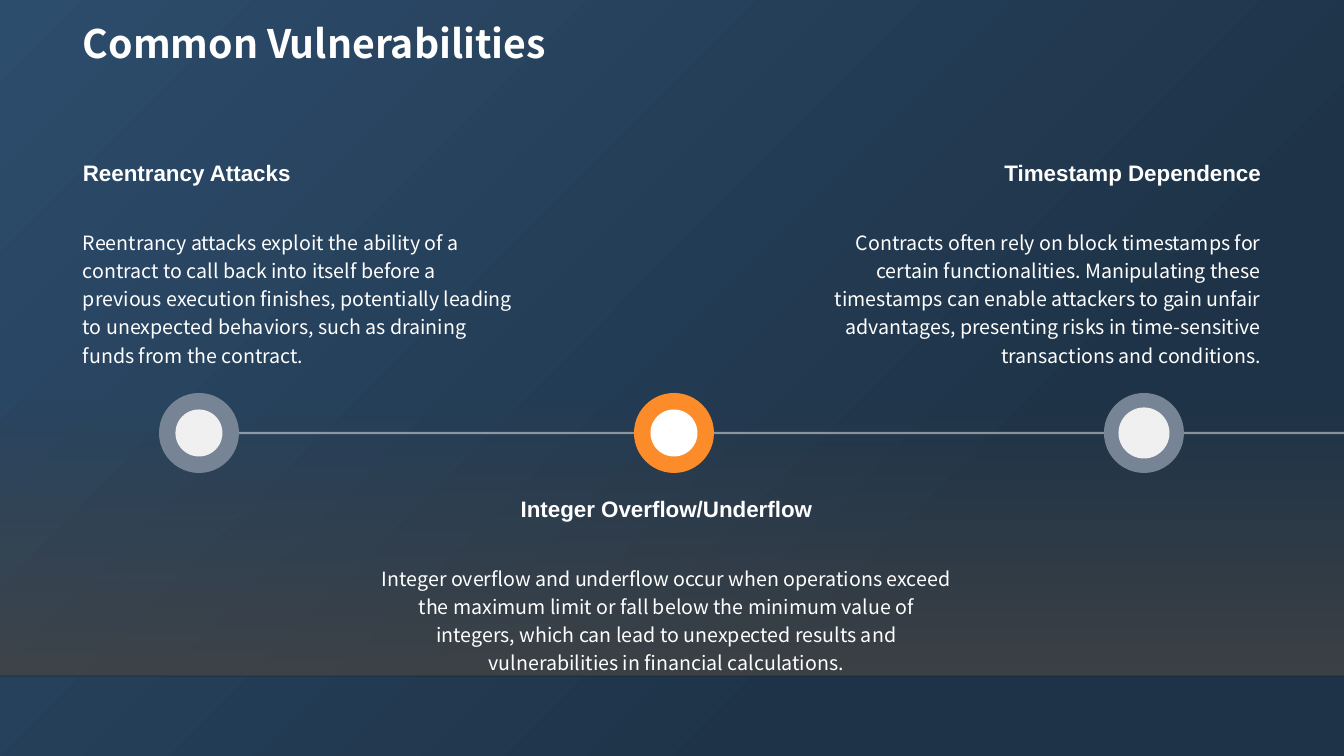
from lxml import etree
from pptx import Presentation
from pptx.dml.color import RGBColor
from pptx.enum.shapes import MSO_CONNECTOR, MSO_SHAPE
from pptx.enum.text import MSO_AUTO_SIZE, PP_ALIGN
from pptx.oxml.ns import qn
from pptx.util import Pt

RECTANGLE, OVAL = MSO_SHAPE.RECTANGLE, MSO_SHAPE.OVAL
STRAIGHT = MSO_CONNECTOR.STRAIGHT
LEFT, CENTER, RIGHT = PP_ALIGN.LEFT, PP_ALIGN.CENTER, PP_ALIGN.RIGHT
GROW = MSO_AUTO_SIZE.SHAPE_TO_FIT_TEXT

# Content
TITLE = "Common Vulnerabilities"
# heading, description, text left, text top, text width, alignment,
# marker centre, marker colour, disc colour, disc diameter
VULNERABILITIES = [
    ("Reentrancy Attacks",
     "Reentrancy attacks exploit the ability of a contract to call back into "
     "itself before a previous execution finishes, potentially leading to "
     "unexpected behaviors, such as draining funds from the contract.",
     73, 154, 454, LEFT, 199, "778495", "F0F0F0", 47),
    ("Integer Overflow/Underflow",
     "Integer overflow and underflow occur when operations exceed the maximum "
     "limit or fall below the minimum value of integers, which can lead to "
     "unexpected results and vulnerabilities in financial calculations.",
     368, 490, 597, CENTER, 674, "FB8C29", "FFFFFF", 47),
    ("Timestamp Dependence",
     "Contracts often rely on block timestamps for certain functionalities. "
     "Manipulating these timestamps can enable attackers to gain unfair "
     "advantages, presenting risks in time-sensitive transactions and "
     "conditions.",
     796, 154, 475, RIGHT, 1144, "778495", "F0F0F0", 51),
]

# Layout in px
SLIDE_W, SLIDE_H = 1344, 756
FLOOR_TOP, FLOOR_BOTTOM = 399, 676
TIMELINE_Y, TIMELINE_START = 433, 193
MARKER_SIZE = 80
HEADING_H, BODY_H, BODY_OFFSET = 37, 73, 67
HEADING_FONT, BODY_FONT = "Arial", "Noto Sans CJK SC"
WHITE = "FFFFFF"


def px(length):
    return round(length * 914400 / 100.8)


def color(code):
    return RGBColor.from_string(code)


def set_opacity(color_element, percent):
    alpha = etree.SubElement(color_element, qn("a:alpha"))
    alpha.set("val", str(percent * 1000))


def set_gradient(fill, angle, stops):
    fill.gradient()
    fill.gradient_angle = angle
    for stop, (position, code) in zip(fill.gradient_stops, stops):
        stop.position = position
        stop.color.rgb = color(code)


def add_plain_shape(kind, left, top, width, height):
    shape = slide.shapes.add_shape(kind, px(left), px(top), px(width), px(height))
    shape.shadow.inherit = False
    shape.line.fill.background()
    return shape


def add_circle(center_x, diameter, code):
    circle = add_plain_shape(OVAL, center_x - diameter / 2,
                             TIMELINE_Y - diameter / 2, diameter, diameter)
    circle.fill.solid()
    circle.fill.fore_color.rgb = color(code)


def add_rule(start_x, end_x, y, code, width, opacity):
    rule = slide.shapes.add_connector(STRAIGHT, px(start_x), px(y), px(end_x), px(y))
    rule.line.color.rgb = color(code)
    rule.line.width = Pt(width)
    properties = rule.line._get_or_add_ln().getparent()
    set_opacity(next(properties.iter(qn("a:srgbClr"))), opacity)
    etree.SubElement(properties, qn("a:effectLst"))


def add_text(text, left, top, width, height, size, font, bold=False,
             align=LEFT, spacing=None, auto_size=None):
    frame = slide.shapes.add_textbox(px(left), px(top), px(width), px(height)).text_frame
    frame.word_wrap = True
    if auto_size is not None:
        frame.auto_size = auto_size
    frame.text = text
    paragraph = frame.paragraphs[0]
    paragraph.alignment = align
    paragraph.line_spacing = spacing
    run_font = paragraph.runs[0].font
    run_font.name = font
    run_font.size = Pt(size)
    run_font.bold = bold
    run_font.color.rgb = color(WHITE)


prs = Presentation()
prs.slide_width, prs.slide_height = px(SLIDE_W), px(SLIDE_H)
slide = prs.slides.add_slide(prs.slide_layouts[6])

# Background with shaded floor
set_gradient(slide.background.fill, 315, [(0, "2D4D6C"), (0.72, "1E3348")])
floor = add_plain_shape(RECTANGLE, 0, FLOOR_TOP, SLIDE_W, FLOOR_BOTTOM - FLOOR_TOP)
set_gradient(floor.fill, 270, [(0, "454545"), (1, "454545")])
for stop_color, opacity in zip(floor._element.spPr.iter(qn("a:srgbClr")), (0, 80)):
    set_opacity(stop_color, opacity)
add_rule(0, SLIDE_W, FLOOR_BOTTOM, "000001", 1, 20)

# Title and timeline
add_text(TITLE, 73, 14, 1198, 99, 28, BODY_FONT, bold=True)
add_rule(TIMELINE_START, SLIDE_W, TIMELINE_Y, "F0F0F0", 1.5, 50)

# Vulnerabilities with their markers
for (heading, description, left, top, width, align,
     center_x, marker_color, disc_color, disc_size) in VULNERABILITIES:
    add_circle(center_x, MARKER_SIZE, marker_color)
    add_circle(center_x, disc_size, disc_color)
    add_text(heading, left, top, width, HEADING_H, 16, HEADING_FONT,
             bold=True, align=align, auto_size=GROW)
    add_text(description, left, top + BODY_OFFSET, width, BODY_H, 14, BODY_FONT,
             align=align, spacing=1.2, auto_size=GROW)

prs.save("out.pptx")
